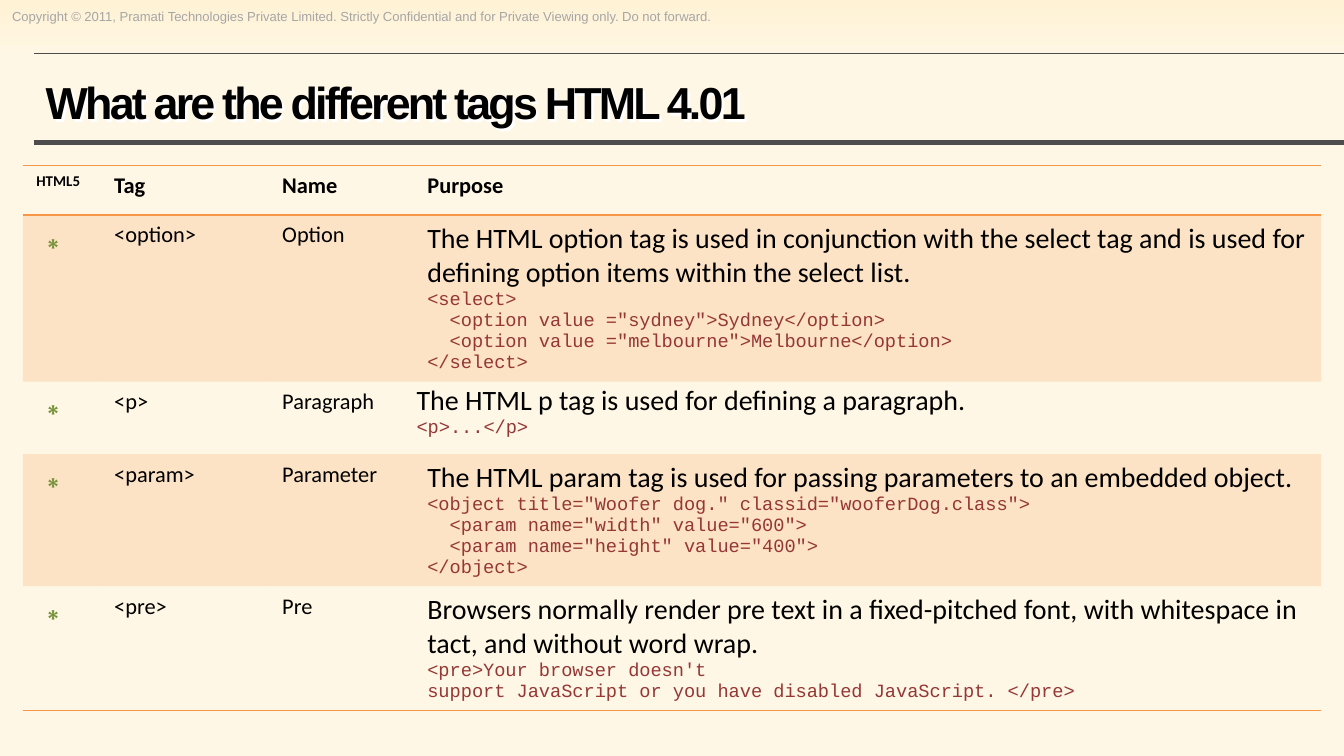
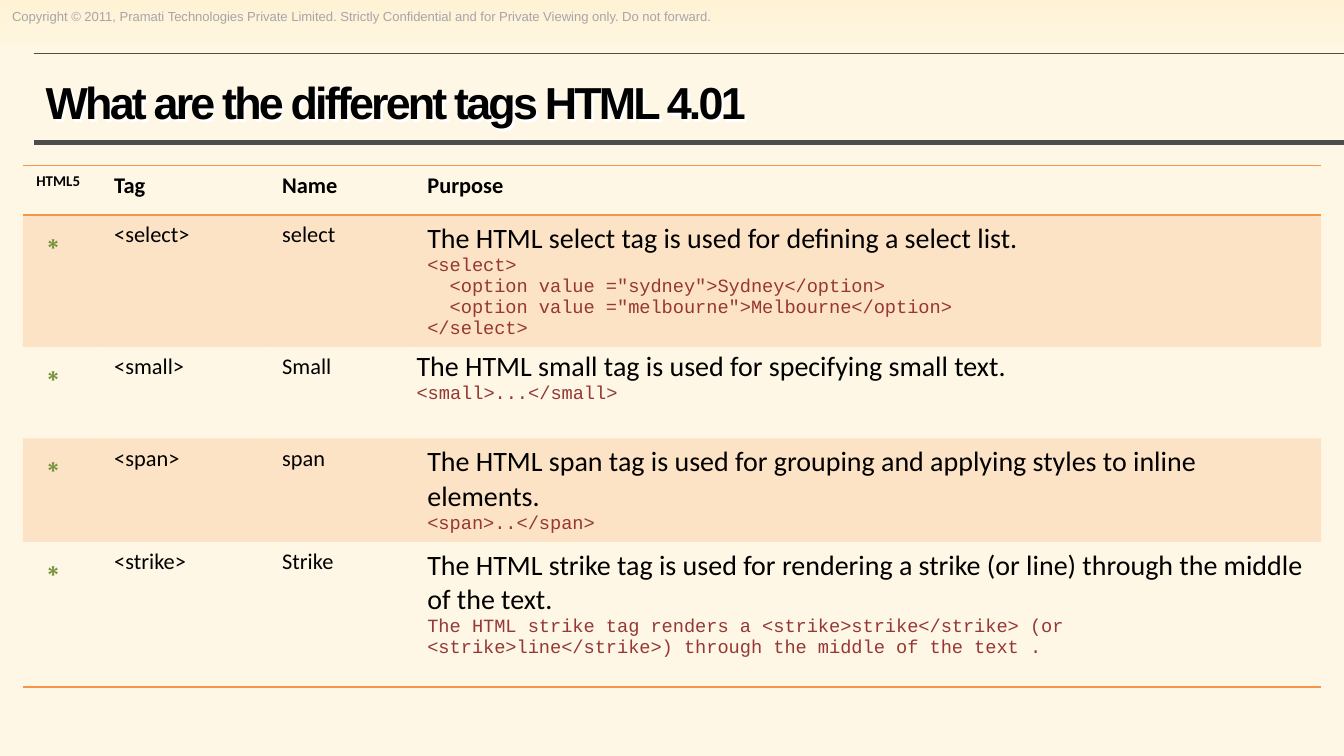
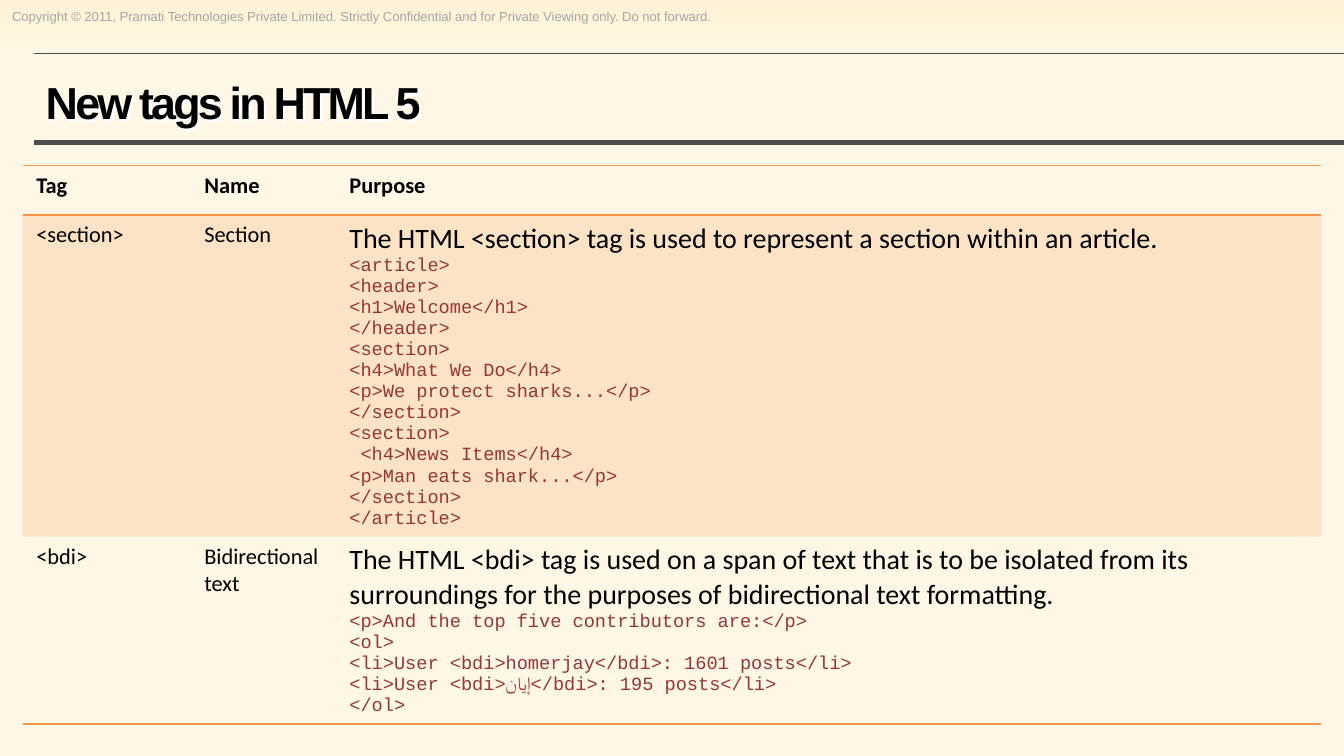
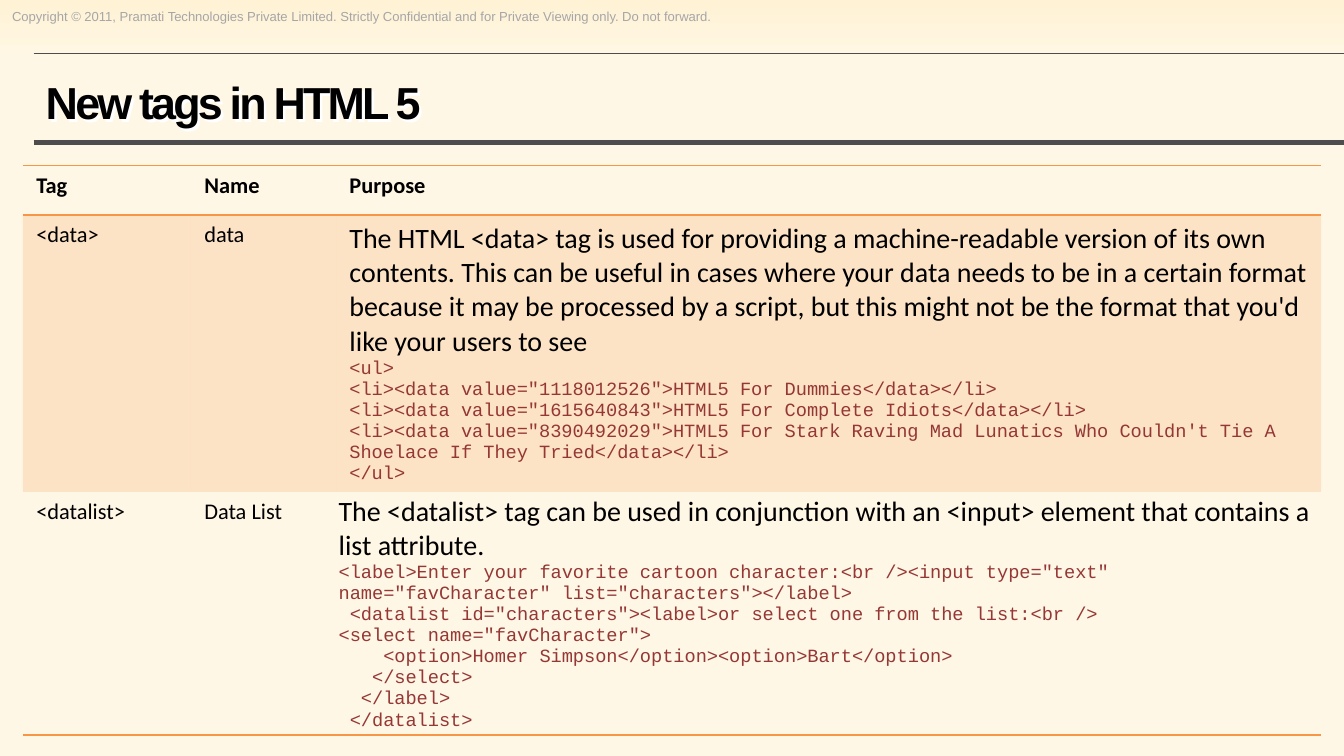
"""Build four slides of HTML tag reference tables."""
from lxml import etree
from pptx import Presentation
from pptx.dml.color import RGBColor
from pptx.enum.shapes import MSO_CONNECTOR
from pptx.enum.text import MSO_ANCHOR, MSO_AUTO_SIZE, PP_ALIGN
from pptx.oxml.ns import qn
from pptx.util import Inches, Pt

STRAIGHT = MSO_CONNECTOR.STRAIGHT
MIDDLE = MSO_ANCHOR.MIDDLE
FIT_SHAPE = MSO_AUTO_SIZE.SHAPE_TO_FIT_TEXT
NO_FIT = MSO_AUTO_SIZE.NONE
LEFT = PP_ALIGN.LEFT

COLORS = {
    "sky": "FFF2D5",
    "cream": "FFF7E5",
    "rule": "4D4D4D",
    "notice": "A6A6A6",
    "text": "000000",
    "shadow": "FFFFFF",
    "orange": "F79646",
    "star": "77933C",
    "code": "953735",
}
HEADING, BODY, CODE = "Arial", "Calibri", "Courier New"
PLAIN_TABLE_STYLE = "{2D5ABB26-0587-4C30-8999-92F81FD0307C}"
NOTICE = ("Copyright © 2011, Pramati Technologies Private Limited. "
          "Strictly Confidential and for Private Viewing only. Do not forward.")
HEADER_HEIGHT = 0.37
TAG_WIDTHS = [1.25, 1.08, 7.33]
MARKED_WIDTHS = [0.58, 1.25, 1.08, 6.75]

CITY_LIST = [
    '<select>',
    '  <option value ="sydney">Sydney</option>',
    '  <option value ="melbourne">Melbourne</option>',
    '</select>',
]


def tag_row(tag, name, purpose, code, height, tight=False):
    """Describe one table row."""
    return {"tag": tag, "name": name, "purpose": purpose, "code": code,
            "height": height, "tight": tight}


OLD_TAGS = "What are the different tags HTML 4.01"
NEW_TAGS = "New tags in HTML 5"
PAGES = [
    (OLD_TAGS, True, [
        tag_row("<option>", "Option",
                "The HTML option tag is used in conjunction with the select tag and is "
                "used for defining option items within the select list.",
                CITY_LIST, 1.24),
        tag_row("<p>", "Paragraph", "The HTML p tag is used for defining a paragraph.",
                ["<p>...</p>"], 0.54, tight=True),
        tag_row("<param>", "Parameter",
                "The HTML param tag is used for passing parameters to an embedded object.",
                ['<object title="Woofer dog." classid="wooferDog.class">',
                 '  <param name="width" value="600">',
                 '  <param name="height" value="400">',
                 '</object>'], 0.98),
        tag_row("<pre>", "Pre",
                "Browsers normally render pre text in a fixed-pitched font, with "
                "whitespace in tact, and without word wrap.",
                ["<pre>Your browser doesn't",
                 "support JavaScript or you have disabled JavaScript. </pre>"], 0.92),
    ]),
    (OLD_TAGS, True, [
        tag_row("<select>", "select",
                "The HTML select tag is used for defining a select list.",
                CITY_LIST, 0.98),
        tag_row("<small>", "Small",
                "The HTML small tag is used for specifying small text.",
                ["<small>...</small>"], 0.68, tight=True),
        tag_row("<span>", "span",
                "The HTML span tag is used for grouping and applying styles to "
                "inline elements.", ["<span>..</span>"], 0.77),
        tag_row("<strike>", "Strike",
                "The HTML strike tag is used for rendering a strike (or line) through "
                "the middle of the text.",
                ["The HTML strike tag renders a <strike>strike</strike> (or "
                 "<strike>line</strike>) through the middle of the text ."], 1.08),
    ]),
    (NEW_TAGS, False, [
        tag_row("<section>", "Section",
                "The HTML <section> tag is used to represent a section within an article.",
                ["<article>", "<header>", "<h1>Welcome</h1>", "</header>", "<section>",
                 "<h4>What We Do</h4>", "<p>We protect sharks...</p>", "</section>",
                 "<section>", " <h4>News Items</h4>", "<p>Man eats shark...</p>",
                 "</section>", "</article>"], 2.39),
        tag_row("<bdi>", "Bidirectional text",
                "The HTML <bdi> tag is used on a span of text that is to be isolated from "
                "its surroundings for the purposes of bidirectional text formatting.",
                ["<p>And the top five contributors are:</p>", "<ol>",
                 "<li>User <bdi>homerjay</bdi>: 1601 posts</li>",
                 "<li>User <bdi>إيان</bdi>: 195 posts</li>", "</ol>"], 1.39),
    ]),
    (NEW_TAGS, False, [
        tag_row("<data>", "data",
                "The HTML <data> tag is used for providing a machine-readable version of "
                "its own contents. This can be useful in cases where your data needs to be "
                "in a certain format because it may be processed by a script, but this "
                "might not be the format that you'd like your users to see",
                ['<ul>',
                 '<li><data value="1118012526">HTML5 For Dummies</data></li>',
                 '<li><data value="1615640843">HTML5 For Complete Idiots</data></li>',
                 '<li><data value="8390492029">HTML5 For Stark Raving Mad Lunatics Who '
                 "Couldn't Tie A Shoelace If They Tried</data></li>",
                 '</ul>'], 2.06),
        tag_row("<datalist>", "Data List",
                "The <datalist> tag can be used in conjunction with an <input> element "
                "that contains a list attribute.",
                ['<label>Enter your favorite cartoon character:<br /><input type="text" '
                 'name="favCharacter" list="characters"></label>',
                 ' <datalist id="characters"><label>or select one from the list:<br />',
                 '<select name="favCharacter">',
                 '    <option>Homer Simpson</option><option>Bart</option>',
                 '   </select>', '  </label>', ' </datalist>'], 1.81, tight=True),
    ]),
]


def rgb(name):
    """Look up a colour by its role."""
    return RGBColor.from_string(COLORS[name])


def write(para, text, size=12, font=BODY, color="text", bold=False):
    """Add a formatted run to a paragraph and return it."""
    para.alignment = LEFT
    span = para.add_run()
    span.text = text
    span.font.size = Pt(size)
    span.font.name = font
    span.font.bold = bold
    span.font.color.rgb = rgb(color)
    return span


def set_insets(frame):
    """Give a text frame the insets shared by the title and the notice."""
    frame.margin_left = frame.margin_right = Inches(0.09)
    frame.margin_top = frame.margin_bottom = Inches(0.04)


def paint_background(layout):
    """Fade the top of every page into cream."""
    fill = layout.background.fill
    fill.gradient()
    fill.gradient_angle = 270
    for stop, name, position in zip(fill.gradient_stops, ("sky", "cream"), (0, 0.08)):
        stop.color.rgb = rgb(name)
        stop.position = position


def add_rule(page, top, width):
    """Draw a horizontal rule that runs to the right edge."""
    rule = page.shapes.add_connector(
        STRAIGHT, Inches(0.25), Inches(top), Inches(10), Inches(top))
    rule.line.color.rgb = rgb("rule")
    rule.line.width = Pt(width)
    etree.SubElement(rule._element.spPr, qn("a:effectLst"))
    return rule


def add_notice(page):
    """Write the confidentiality notice at the top."""
    box = page.shapes.add_textbox(Inches(0), Inches(0.02), Inches(5.55), Inches(0.21))
    frame = box.text_frame
    set_insets(frame)
    frame.word_wrap = False
    frame.auto_size = FIT_SHAPE
    write(frame.paragraphs[0], NOTICE, size=7, font=HEADING, color="notice")
    return box


def furnish_layout(layout, page):
    """Put the background, notice and rules on the shared layout."""
    paint_background(layout)
    for shape in (add_notice(page), add_rule(page, 1.06, 3), add_rule(page, 0.4, 0.75)):
        layout.shapes._spTree.append(shape._element)


def add_title(page, text):
    """Fill the title placeholder with tight bold text and a light shadow."""
    title = page.shapes.title
    title.left, title.top = Inches(0.25), Inches(0.44)
    title.width, title.height = Inches(9.33), Inches(0.63)
    frame = title.text_frame
    set_insets(frame)
    frame.word_wrap = True
    frame.auto_size = NO_FIT
    frame.vertical_anchor = MIDDLE
    span = write(frame.paragraphs[0], text, size=24, font=HEADING, bold=True)
    span._r.get_or_add_rPr().set("spc", "-150")
    title.fill.background()
    effects = etree.SubElement(title._element.spPr, qn("a:effectLst"))
    shadow = etree.SubElement(effects, qn("a:outerShdw"), dist="25400", dir="2700000")
    etree.SubElement(shadow, qn("a:srgbClr"), val=COLORS["shadow"])


def add_border(cell, side):
    """Draw an orange line along one side of a cell."""
    line = etree.Element(qn(f"a:{side}"), w=str(Pt(1)))
    fill = etree.SubElement(line, qn("a:solidFill"))
    etree.SubElement(fill, qn("a:srgbClr"), val=COLORS["orange"])
    cell._tc.get_or_add_tcPr().insert(0, line)


def shade(cell):
    """Fill a cell with transparent orange."""
    cell.fill.solid()
    cell.fill.fore_color.rgb = rgb("orange")
    tint = cell._tc.tcPr.find(".//" + qn("a:srgbClr"))
    etree.SubElement(tint, qn("a:alpha"), val="20000")


def fill_purpose(cell, row):
    """Write the purpose of a tag and its sample code."""
    frame = cell.text_frame
    write(frame.paragraphs[0], row["purpose"], size=15)
    for line in row["code"]:
        write(frame.add_paragraph(), line, size=10, font=CODE, color="code")
    if row["tight"]:
        cell.margin_left = cell.margin_right = Inches(0.02)
        cell.margin_top = cell.margin_bottom = Inches(0.02)


def fill_header(cells, marked):
    """Write the bold column headings between two lines."""
    headings = ["Tag", "Name", "Purpose"]
    if marked:
        headings.insert(0, "HTML5")
    for cell, heading in zip(cells, headings):
        size = 8 if heading == "HTML5" else 12
        write(cell.text_frame.paragraphs[0], heading, size=size, bold=True)
        cell.fill.background()
        add_border(cell, "lnB")
        add_border(cell, "lnT")


def fill_row(cells, row, marked):
    """Write one tag, with a star first if the table is marked."""
    if marked:
        write(cells[0].text_frame.paragraphs[0], "∗", size=18, font=HEADING,
              color="star", bold=True)
    for cell, text in zip(cells[-3:], (row["tag"], row["name"])):
        write(cell.text_frame.paragraphs[0], text)
    fill_purpose(cells[-1], row)


def add_tag_table(page, rows, marked):
    """Add the table of tags with alternate rows shaded."""
    widths = MARKED_WIDTHS if marked else TAG_WIDTHS
    heights = [HEADER_HEIGHT] + [row["height"] for row in rows]
    table = page.shapes.add_table(
        len(heights), len(widths), Inches(0.17), Inches(1.23),
        Inches(sum(widths)), Inches(sum(heights))).table
    table.horz_banding = False
    table._tbl.tblPr.find(qn("a:tableStyleId")).text = PLAIN_TABLE_STYLE
    for column, width in zip(table.columns, widths):
        column.width = Inches(width)
    for line, height in zip(table.rows, heights):
        line.height = Inches(height)
    fill_header(table.rows[0].cells, marked)
    for number, row in enumerate(rows, start=1):
        cells = list(table.rows[number].cells)
        fill_row(cells, row, marked)
        for cell in cells:
            if number % 2:
                shade(cell)
            else:
                cell.fill.background()
            if number == len(rows):
                add_border(cell, "lnB")


def main():
    """Build and save the deck."""
    deck = Presentation()
    deck.slide_width = Inches(10)
    deck.slide_height = deck.slide_width * 9 // 16
    layout = deck.slide_layouts[5]
    for number, (title, marked, rows) in enumerate(PAGES):
        page = deck.slides.add_slide(layout)
        if number == 0:
            furnish_layout(layout, page)
        add_title(page, title)
        add_tag_table(page, rows, marked)
    deck.save("out.pptx")


if __name__ == "__main__":
    main()
